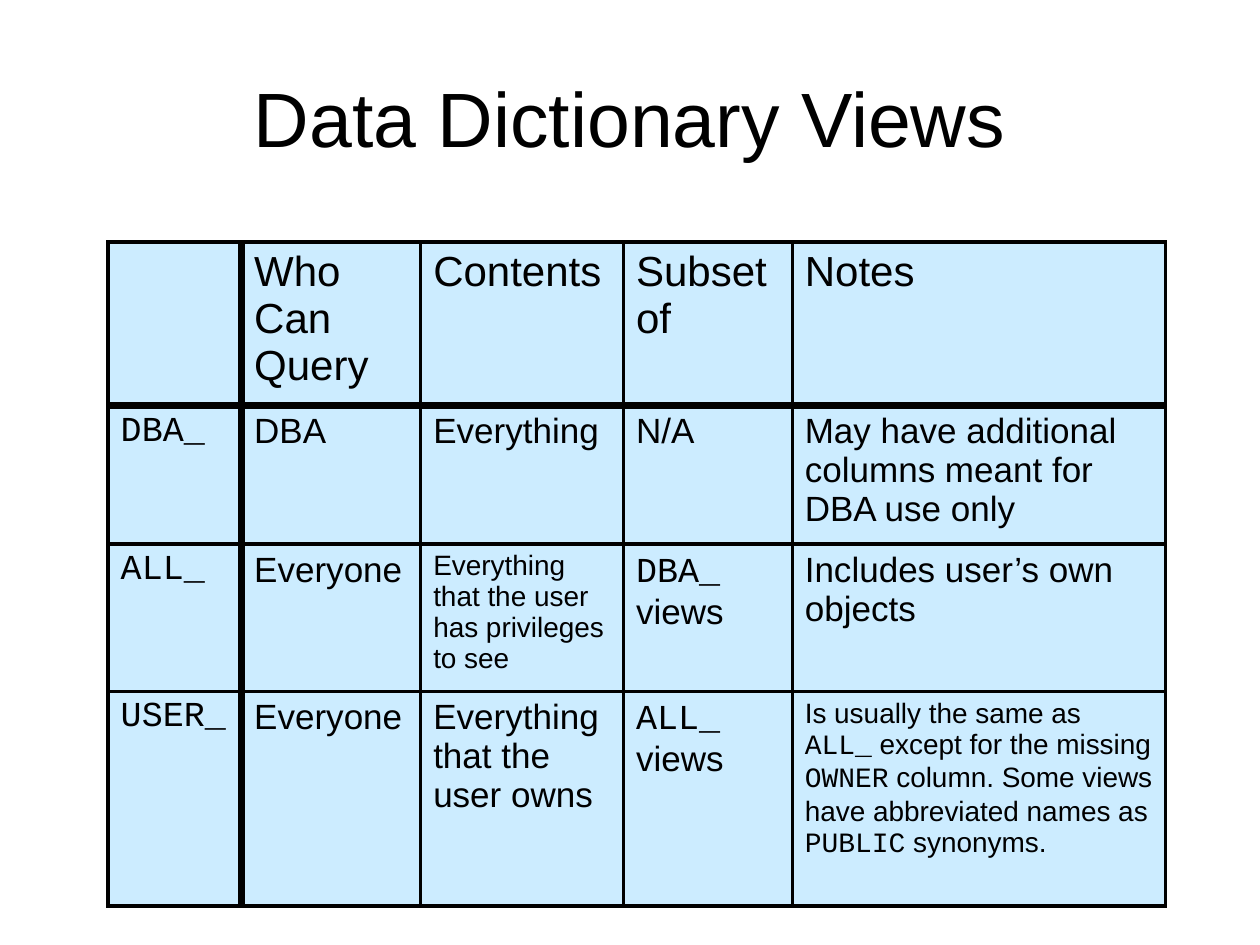
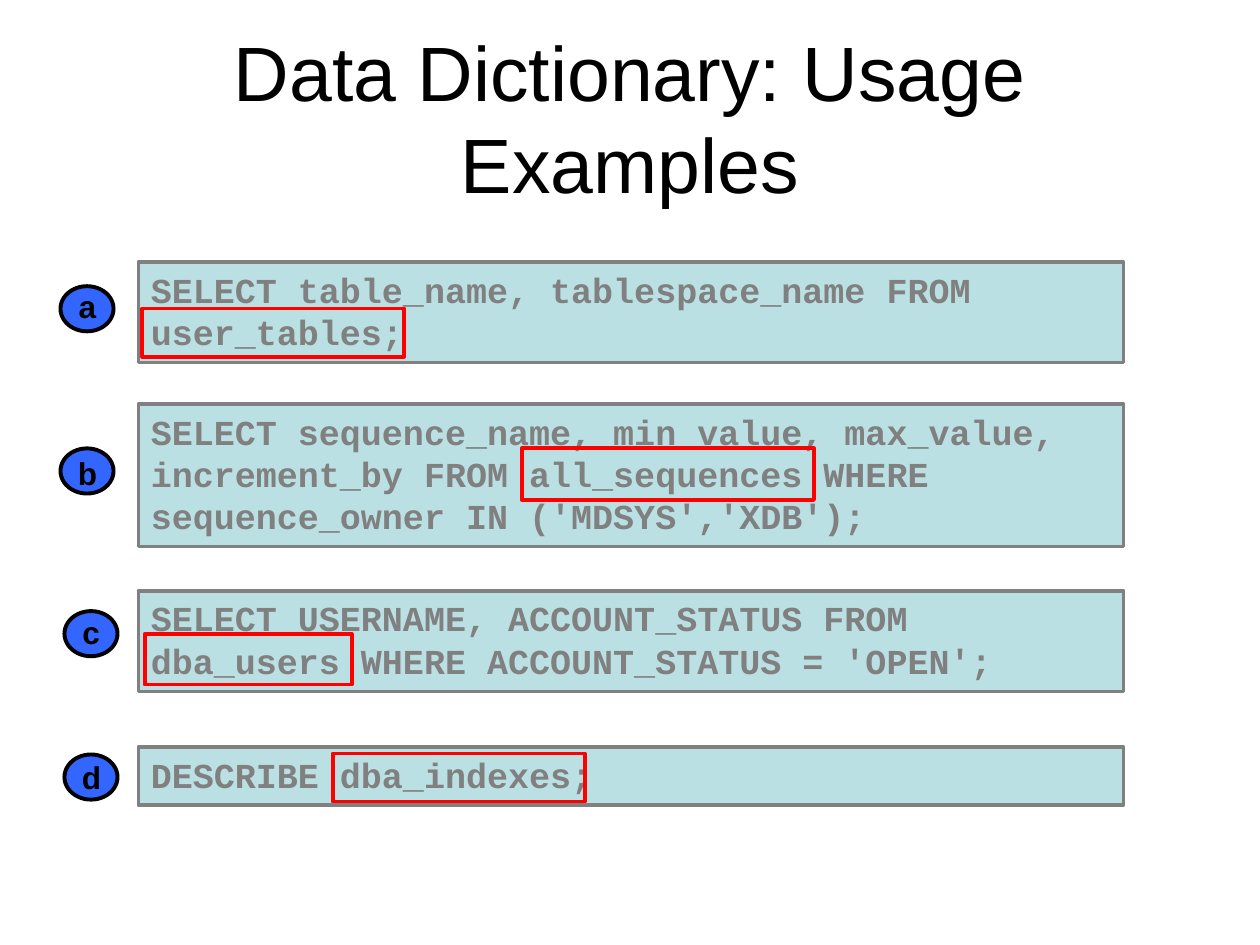
from pptx import Presentation
from pptx.dml.color import RGBColor
from pptx.enum import shapes, text
from pptx.oxml import parse_xml
from pptx.oxml.ns import nsdecls
from pptx.util import Cm, Pt

# Shared style
BLACK = RGBColor(0x00, 0x00, 0x00)
CELL_BLUE = RGBColor(0xCC, 0xEC, 0xFF)
PANEL_TEAL = RGBColor(0xBB, 0xE0, 0xE3)
CODE_GREY = RGBColor(0x80, 0x80, 0x80)
BADGE_BLUE = RGBColor(0x33, 0x66, 0xFF)
MARK_RED = RGBColor(0xFF, 0x00, 0x00)
SANS, MONO = "Arial", "Courier New"
THIN, THICK = 2.25, 4.5


def add_run(paragraph, words, size, font=SANS, color=BLACK, bold=False):
    run = paragraph.add_run()
    run.text = words
    run.font.size = Pt(size)
    run.font.name = font
    run.font.color.rgb = color
    run.font.bold = bold


def add_outline(slide, kind, place, line, width, fill=None):
    shape = slide.shapes.add_shape(kind, *[Cm(length) for length in place])
    shape.shadow.inherit = False
    if fill is None:
        shape.fill.background()
    else:
        shape.fill.solid()
        shape.fill.fore_color.rgb = fill
    shape.line.color.rgb = line
    shape.line.width = Pt(width)
    return shape


deck = Presentation()
deck.slide_width, deck.slide_height = Cm(25.4), Cm(19.05)

# Both slides with their titles
slides = []
for heading in ("Data Dictionary Views", "Data Dictionary: Usage Examples"):
    slide = deck.slides.add_slide(deck.slide_layouts[5])
    title = slide.shapes.title
    title.left, title.top, title.width, title.height = Cm(1.27), Cm(0.76), Cm(22.86), Cm(3.18)
    title.text_frame.auto_size = text.MSO_AUTO_SIZE.NONE
    title.text_frame.vertical_anchor = text.MSO_ANCHOR.MIDDLE
    title.text_frame.paragraphs[0].alignment = text.PP_ALIGN.CENTER
    add_run(title.text_frame.paragraphs[0], heading, 44)
    slides.append(slide)
views_slide, usage_slide = slides

# Views table: each cell is a size and its runs; every second run is code
# where the cell starts with an empty string or continues after plain text
column_widths = [2.69, 3.61, 4.09, 3.4, 7.52]
row_heights = [3.3, 2.79, 2.97, 4.32]
view_rows = [
    [(24, []), (24, ["Who\vCan Query"]), (24, ["Contents"]), (24, ["Subset of"]), (24, ["Notes"])],
    [(20, ["", "DBA_"]), (20, ["DBA"]), (20, ["Everything"]), (20, ["N/A"]),
     (20, ["May have additional columns meant for DBA use only"])],
    [(20, ["", "ALL_"]), (20, ["Everyone"]),
     (16, ["Everything that the user has privileges to see"]),
     (20, ["", "DBA_", " views"]), (20, ["Includes user’s own objects"])],
    [(20, ["", "USER_"]), (20, ["Everyone"]), (20, ["Everything that the user owns"]),
     (20, ["", "ALL_", " views"]),
     (16, ["Is usually the same as ", "ALL_", " except for the missing ", "OWNER",
           " column. Some views have abbreviated names as ", "PUBLIC", " synonyms."])],
]
views = views_slide.shapes.add_table(
    len(row_heights), len(column_widths), Cm(2.18), Cm(4.88),
    Cm(sum(column_widths)), Cm(sum(row_heights))).table
views.first_row = views.horz_banding = False
for column, width in zip(views.columns, column_widths):
    column.width = Cm(width)
for row, height in zip(views.rows, row_heights):
    row.height = Cm(height)

for r, view_row in enumerate(view_rows):
    for c, (size, parts) in enumerate(view_row):
        cell = views.cell(r, c)
        cell.fill.solid()
        cell.fill.fore_color.rgb = CELL_BLUE
        paragraph = cell.text_frame.paragraphs[0]
        for i, part in enumerate(parts):
            for j, piece in enumerate(part.split("\v")):
                if j:
                    paragraph.add_line_break()
                if piece:
                    add_run(paragraph, piece, size, MONO if i % 2 else SANS)
        # Thick rules set off the header row and the prefix column
        edges = [("L", c == 1), ("R", c == 0), ("T", r == 1), ("B", r == 0)]
        for position, (side, thick) in enumerate(edges):
            width = Pt(THICK if thick else THIN)
            border = parse_xml(
                f'<a:ln{side} {nsdecls("a")} w="{width}"><a:solidFill>'
                f'<a:srgbClr val="{BLACK}"/></a:solidFill></a:ln{side}>')
            cell._tc.get_or_add_tcPr().insert(position, border)

# Rule along the prefix column
rule = views_slide.shapes.add_connector(
    shapes.MSO_CONNECTOR.STRAIGHT, Cm(4.88), Cm(4.88), Cm(4.88), Cm(15.72))
rule.line.color.rgb = BLACK
rule.line.width = Pt(THIN)
rule._element.spPr.append(parse_xml(f'<a:effectLst {nsdecls("a")}/>'))

# Usage examples: letter, panel top and height, code lines, marked view,
# badge left and top, letter top
examples = [
    ("a", 5.28, 2.03, ["SELECT table_name, tablespace_name FROM user_tables;"],
     (2.87, 6.22, 5.28, 0.97), 1.22, 5.77, 5.66),
    ("b", 8.15, 2.87, ["SELECT sequence_name, min_value, max_value, increment_by FROM "
                       "all_sequences WHERE sequence_owner IN ('MDSYS','XDB');"],
     (10.52, 9.04, 5.89, 1.04), 1.22, 9.04, 9.02),
    ("c", 11.91, 2.03, ["SELECT USERNAME, ACCOUNT_STATUS FROM",
                        "dba_users WHERE ACCOUNT_STATUS = 'OPEN';"],
     (2.92, 12.78, 4.17, 1.02), 1.3, 12.32, 12.24),
    ("d", 15.06, 1.17, ["DESCRIBE dba_indexes;"],
     (6.71, 15.19, 5.08, 0.97), 1.3, 15.21, 15.16),
]
for letter, top, height, code, mark, badge_left, badge_top, letter_top in examples:
    # Code panel
    panel = add_outline(usage_slide, shapes.MSO_SHAPE.RECTANGLE,
                        (2.79, top, 19.86, height), CODE_GREY, 2, PANEL_TEAL)
    frame = panel.text_frame
    frame.word_wrap = True
    frame.auto_size = text.MSO_AUTO_SIZE.SHAPE_TO_FIT_TEXT
    frame.vertical_anchor = text.MSO_ANCHOR.TOP
    for i, line in enumerate(code):
        paragraph = frame.add_paragraph() if i else frame.paragraphs[0]
        paragraph.alignment = text.PP_ALIGN.LEFT
        add_run(paragraph, line, 20, MONO, CODE_GREY, bold=True)

    # Red frame around the dictionary view
    add_outline(usage_slide, shapes.MSO_SHAPE.RECTANGLE, mark, MARK_RED, THIN)

    # Letter badge
    add_outline(usage_slide, shapes.MSO_SHAPE.OVAL,
                (badge_left, badge_top, 1.07, 0.91), BLACK, THIN, BADGE_BLUE)
    label = usage_slide.shapes.add_textbox(
        Cm(badge_left + 0.1), Cm(letter_top), Cm(0.88), Cm(1.02)).text_frame
    label.word_wrap = False
    label.auto_size = text.MSO_AUTO_SIZE.SHAPE_TO_FIT_TEXT
    label.paragraphs[0].alignment = text.PP_ALIGN.CENTER
    add_run(label.paragraphs[0], letter, 18, bold=True)

deck.save("out.pptx")
